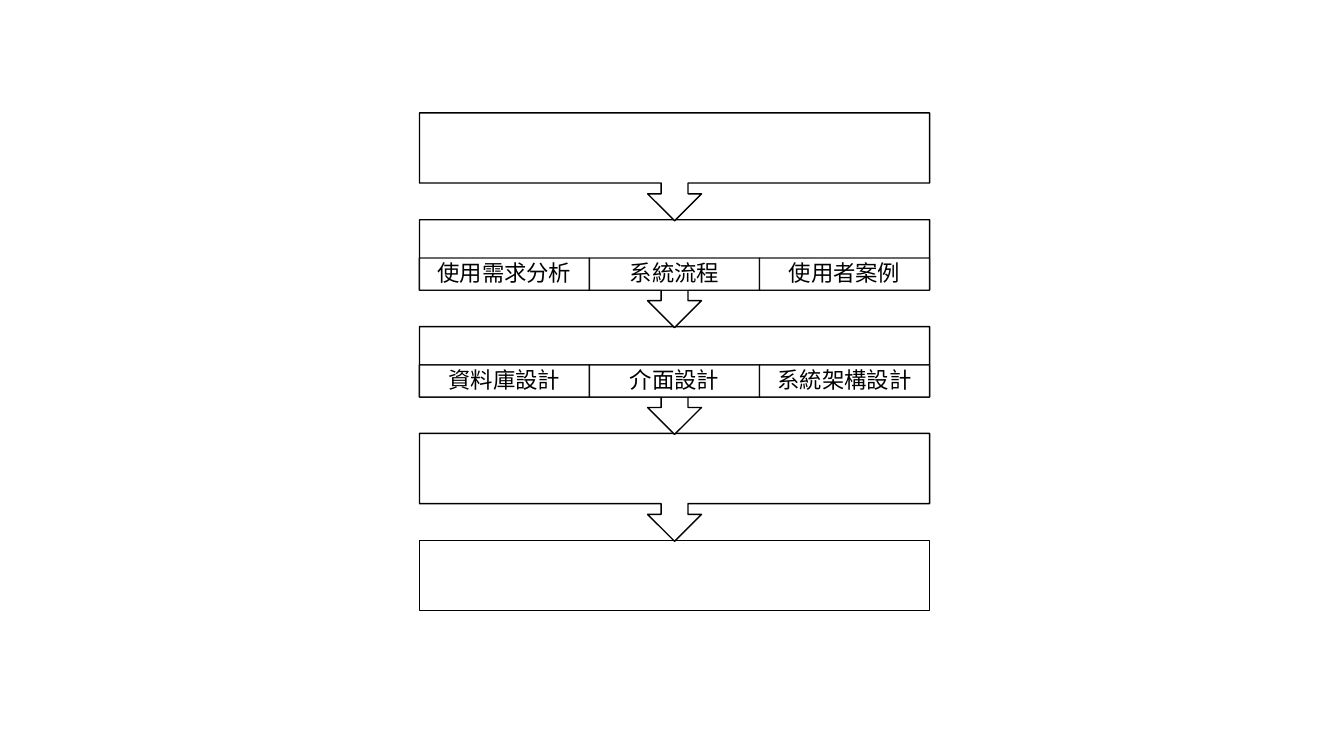
from pptx import Presentation
from pptx.util import Inches, Pt
from pptx.dml.color import RGBColor as Rgb
from pptx.enum.shapes import MSO_SHAPE as Shape
from pptx.enum.text import MSO_ANCHOR as Anchor, PP_ALIGN as Align
from pptx.oxml.ns import qn
from lxml.etree import SubElement as Sub

COLORS = {"paper": "FFFFFF", "ink": "000000"}
FONT = "Noto Sans CJK SC"
LEFT, TOP, WIDTH, STEP = 4.16, 1.12, 5.06, 1.06
BOX, CALL = 0.7, 1.07
HEAD, CELL = 0.38, 0.32
STAGES = [
    [],
    ["使用需求分析", "系統流程", "使用者案例"],
    ["資料庫設計", "介面設計", "系統架構設計"],
    [],
    [],
]


class Board:
    def __init__(self, slide):
        self.slide = slide

    def block(self, kind, left, top, width, height):
        shape = self.slide.shapes.add_shape(
            kind, Inches(left), Inches(top), Inches(width), Inches(height))
        shape.shadow.inherit = False
        shape.fill.solid()
        shape.fill.fore_color.rgb = Rgb.from_string(COLORS["paper"])
        shape.line.color.rgb = Rgb.from_string(COLORS["ink"])
        shape.line.width = Pt(1)
        return shape

    def callout(self, top):
        shape = self.block(Shape.UP_ARROW_CALLOUT, LEFT, top, WIDTH, CALL)
        shape.rotation = 180

    def cell(self, text, left, top, width):
        shape = self.block(Shape.RECTANGLE, left, top, width, CELL)
        for color in shape._element.spPr.iter(qn("a:srgbClr")):
            Sub(color, qn("a:alpha")).set("val", "90000")
        frame = shape.text_frame
        frame.text = text
        frame.word_wrap = True
        frame.vertical_anchor = Anchor.MIDDLE
        frame.margin_left = frame.margin_right = Inches(0.12)
        frame.margin_top = frame.margin_bottom = Inches(0.02)
        para = frame.paragraphs[0]
        para.alignment = Align.CENTER
        para.line_spacing = 0.9
        font = para.runs[0].font
        font.size = Pt(16)
        font.name = FONT
        font.color.rgb = Rgb.from_string(COLORS["ink"])
        Sub(font._element, qn("a:ea")).set("typeface", FONT)

    def stage(self, index, labels):
        top = TOP + index * STEP
        if index == len(STAGES) - 1:
            self.block(Shape.RECTANGLE, LEFT, top, WIDTH, BOX)
        else:
            self.callout(top)
        for col, label in enumerate(labels):
            width = WIDTH / len(labels)
            self.cell(label, LEFT + col * width, top + HEAD, width)


def main():
    deck = Presentation()
    deck.slide_width = Inches(13.33)
    deck.slide_height = Inches(7.5)
    board = Board(deck.slides.add_slide(deck.slide_layouts[6]))
    for index, labels in reversed(list(enumerate(STAGES))):
        board.stage(index, labels)
    deck.save("out.pptx")


if __name__ == "__main__":
    main()
